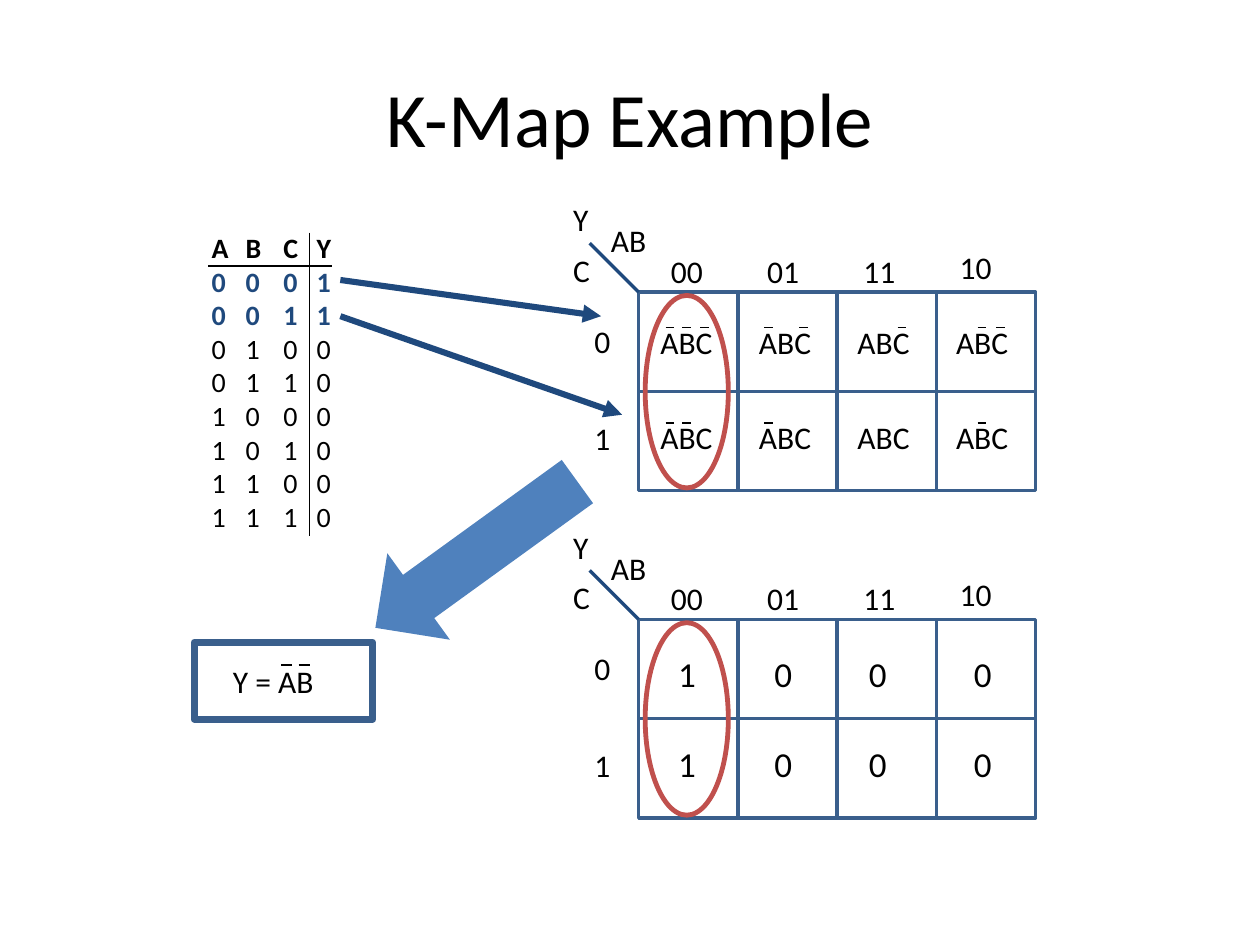
from lxml import etree
from pptx import Presentation
from pptx.dml.color import RGBColor
from pptx.enum.shapes import MSO_CONNECTOR, MSO_SHAPE
from pptx.enum.text import MSO_ANCHOR, MSO_AUTO_SIZE, PP_ALIGN
from pptx.oxml.ns import qn
from pptx.util import Pt

RECT, OVAL, ARROW = MSO_SHAPE.RECTANGLE, MSO_SHAPE.OVAL, MSO_SHAPE.LEFT_ARROW
STRAIGHT = MSO_CONNECTOR.STRAIGHT
GROW = MSO_AUTO_SIZE.SHAPE_TO_FIT_TEXT
MIDDLE, CENTER = MSO_ANCHOR.MIDDLE, PP_ALIGN.CENTER

COLORS = {"text": "000000", "navy": "1F497D", "border": "3A5F8C",
          "loop": "C0504D", "arrow": "4F81BD"}
CODES = ["00", "01", "11", "10"]
CELL = 56.7
LETTER_X = {"A": 10, "B": 19.5, "C": 30}


class SlideBuilder:
    font = "Calibri"

    def __init__(self, prs):
        self.s = prs.slides.add_slide(prs.slide_layouts[5])

    def color(self, name):
        return RGBColor.from_string(COLORS[name])

    def format_run(self, r, size, color="text", bold=False):
        values = {"name": self.font, "size": Pt(size), "bold": bold}
        for key, value in values.items():
            setattr(r.font, key, value)
        r.font.color.rgb = self.color(color)

    def title(self, text, x, y, w, h):
        sp = self.s.shapes.title
        box = {"left": x, "top": y, "width": w, "height": h}
        for key, value in box.items():
            setattr(sp, key, Pt(value))
        tf = sp.text_frame
        tf.vertical_anchor = MIDDLE
        p = tf.paragraphs[0]
        p.alignment = CENTER
        r = p.add_run()
        r.text = text
        self.format_run(r, 44)

    def text(self, text, x, y, w=73, h=29, size=18):
        sp = self.s.shapes.add_textbox(Pt(x), Pt(y), Pt(w), Pt(h))
        tf = sp.text_frame
        tf.word_wrap = True
        tf.auto_size = GROW
        r = tf.paragraphs[0].add_run()
        r.text = text
        self.format_run(r, size)
        return tf

    def tabbed_rows(self, rows, formats, stops, x, y, w, h, size):
        tf = self.text("\t".join(rows[0]), x, y, w, h, size)
        for row in rows[1:]:
            tf.add_paragraph().add_run().text = "\t".join(row)
        for p, values in zip(tf.paragraphs, formats):
            self.format_run(p.runs[0], size, **values)
            tabs = etree.SubElement(p._p.get_or_add_pPr(), qn("a:tabLst"))
            for stop in stops:
                etree.SubElement(tabs, qn("a:tab"), pos=str(Pt(stop)), algn="l")

    def shape(self, kind, x, y, w, h, line=None, width=2, fill=None, rotation=0):
        sp = self.s.shapes.add_shape(kind, Pt(x), Pt(y), Pt(w), Pt(h))
        sp.shadow.inherit = False
        sp.rotation = rotation
        if fill:
            sp.fill.solid()
            sp.fill.fore_color.rgb = self.color(fill)
        else:
            sp.fill.background()
        if line:
            sp.line.color.rgb = self.color(line)
            sp.line.width = Pt(width)
        else:
            sp.line.fill.background()

    def line(self, x1, y1, x2, y2, color="text", width=1.0, arrow=False):
        sp = self.s.shapes.add_connector(STRAIGHT, Pt(x1), Pt(y1), Pt(x2), Pt(y2))
        sp.line.color.rgb = self.color(color)
        sp.line.width = Pt(width)
        if arrow:
            etree.SubElement(sp.line._get_or_add_ln(), qn("a:tailEnd"), type="triangle")
        etree.SubElement(sp._element.spPr, qn("a:effectLst"))

    def kmap(self, x, y):
        for row in range(2):
            for col in range(4):
                self.shape(RECT, x + col * CELL, y + row * CELL, CELL, CELL, "border")
            self.text(str(row), x - 32.4, y + 13.5 + row * 55.5)
        self.line(x, y, x - 28, y - 28, "navy", 2)
        for col, code in enumerate(CODES):
            self.text(code, x + 11.3 + col * 55, y - (29 if code == "10" else 26.5))
        for label, dx, dy in [("C", -44.6, -27.4), ("Y", -44.6, -56), ("AB", -23, -44)]:
            self.text(label, x + dx, y + dy)

    def minterms(self, x, y):
        for row in range(2):
            for col, code in enumerate(CODES):
                left, top = x + 5.3 + col * 56.3, y + 13.8 + row * 54.7
                self.text("ABC", left, top, 70)
                for letter, bit in zip("ABC", code + str(row)):
                    if bit == "0":
                        bar = left + LETTER_X[letter]
                        self.line(bar, top + 6.4, bar + 5, top + 6.4)

    def values(self, x, y):
        for row in range(2):
            for code, dx in zip(CODES, [15.5, 70.5, 124.5, 184.5]):
                value = "1" if code == "00" else "0"
                self.text(value, x + dx, y + 15.2 + row * 51.8, 30, 31.5, 20)

    def loop(self, x, y):
        self.shape(OVAL, x + 3.7, y + 1.8, 47.5, 110, "loop", 2.75)


def main():
    prs = Presentation()
    prs.slide_width, prs.slide_height = Pt(720), Pt(540)
    b = SlideBuilder(prs)
    b.title("K-Map Example", 36, 21.6, 648, 90)

    left, upper, lower = 365, 167, 354
    for top, fill_cells in [(upper, b.minterms), (lower, b.values)]:
        b.kmap(left, top)
        fill_cells(left, top)
        b.loop(left, top)

    rows = ["ABCY"]
    for n in range(8):
        rows.append(f"{n:03b}" + ("1" if n < 2 else "0"))
    formats = [{"bold": True}] + [{"bold": True, "color": "navy"}] * 2 + [{}] * 6
    b.tabbed_rows(rows, formats, [19.5, 41, 60], 113.8, 128.2, 102, 181.4, 16)
    b.line(176.8, 133, 176.8, 306.5, width=0.75)
    b.line(119, 152, 190, 152, width=0.75)

    b.line(194.5, 160, 343.5, 180.7, "navy", 3.5, arrow=True)
    b.line(194.5, 180.7, 355.5, 237, "navy", 3.5, arrow=True)

    b.shape(ARROW, 201, 286.5, 142.5, 61, fill="arrow", rotation=324.1)
    b.shape(RECT, 111, 367, 102, 44, "border", 4)
    b.text("Y = AB", 126, 375, 194)
    for bar in (160.6, 170.6):
        b.line(bar, 380, bar + 6.5, 380, width=1.5)

    prs.save("out.pptx")


if __name__ == "__main__":
    main()
